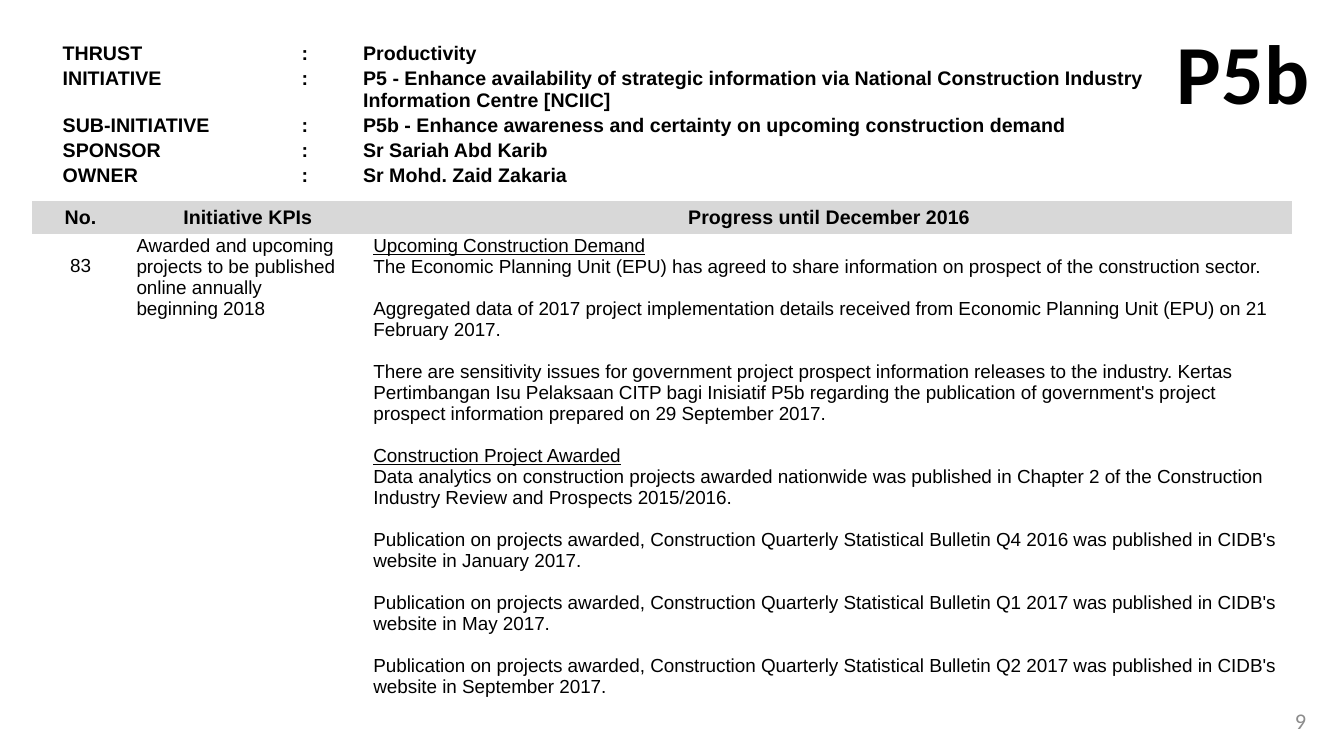
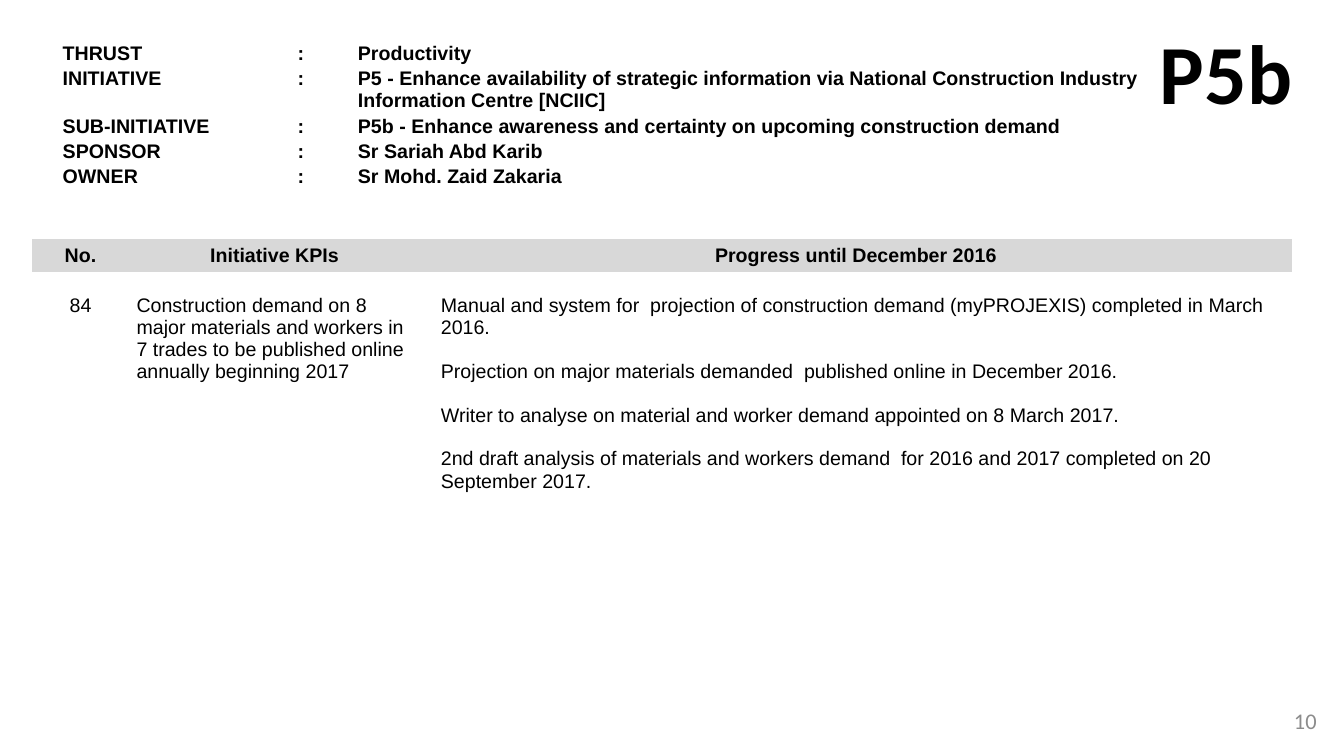
from pptx import Presentation
from pptx.dml.color import RGBColor
from pptx.enum.text import MSO_ANCHOR, PP_ALIGN
from pptx.util import Cm, Pt

LEFT, CENTER, RIGHT = PP_ALIGN.LEFT, PP_ALIGN.CENTER, PP_ALIGN.RIGHT
TOP, MIDDLE = MSO_ANCHOR.TOP, MSO_ANCHOR.MIDDLE

BLACK = RGBColor(0x00, 0x00, 0x00)
BAND = RGBColor(0xD8, 0xD8, 0xD8)
PAGE_GREY = RGBColor(0x8C, 0x8C, 0x8C)
NO_STYLE_NO_GRID = "{2D5ABB26-0587-4C30-8999-92F81FD0307C}"

# Text formats
LABEL = {"name": "Arial", "size": Pt(14), "bold": True}
CODE = {"name": "Calibri", "size": Pt(60), "bold": True}
PAGE = {"name": "Calibri", "size": Pt(16), "bold": False}
LINE_GAP = 1.11

# Shared geometry in cm
HEADER_LEFT, HEADER_TOP = 1.55, 1.05
HEADER_ROWS = (0.6, 1.17, 0.63, 0.6, 0.6)
KPI_LEFT, KPI_WIDTH, NO_WIDTH, BAND_HEIGHT = 0.8, 31.76, 2.46, 0.84
INSET, KPI_INSET = 0.03, 0.18

INITIATIVE = (
    ("THRUST", "Productivity"),
    ("INITIATIVE", "P5 - Enhance availability of strategic information via "
     "National Construction Industry Information Centre [NCIIC]"),
    ("SUB-INITIATIVE", "P5b - Enhance awareness and certainty on upcoming "
     "construction demand"),
    ("SPONSOR", "Sr Sariah Abd Karib"),
    ("OWNER", "Sr Mohd. Zaid Zakaria"),
)
KPI_TITLES = ("No.", "Initiative KPIs", "Progress until December 2016")
BULLETIN = ("Publication on projects awarded, Construction Quarterly Statistical "
            "Bulletin {} was published in CIDB's website in {}.")

# Each progress block is a heading (or None) and its text
SLIDES = (
    {
        "page": "9", "page_left": 25.55,
        "header_widths": (6.02, 0.66, 0.89, 20.29),
        "top": 5.06, "kpi_width": 5.97, "body_height": 12.6, "size": 13.5,
        "tops": (0.54, INSET, INSET), "progress_inset": KPI_INSET,
        "no": "83",
        "kpi": ("Awarded and upcoming projects to be published online annually",
                "beginning 2018"),
        "progress": (
            ("Upcoming Construction Demand",
             "The Economic Planning Unit (EPU) has agreed to share information "
             "on prospect of the construction sector."),
            (None, "Aggregated data of 2017 project implementation details "
             "received from Economic Planning Unit (EPU) on 21 February 2017."),
            (None, "There are sensitivity issues for government project prospect "
             "information releases to the industry. Kertas Pertimbangan Isu "
             "Pelaksaan CITP bagi Inisiatif P5b regarding the publication of "
             "government's project prospect information prepared on "
             "29 September 2017."),
            ("Construction Project Awarded",
             "Data analytics on construction projects awarded nationwide was "
             "published in Chapter 2 of the Construction Industry Review and "
             "Prospects 2015/2016."),
            (None, BULLETIN.format("Q4 2016", "January 2017")),
            (None, BULLETIN.format("Q1 2017", "May 2017")),
            (None, BULLETIN.format("Q2 2017", "September 2017")),
        ),
    },
    {
        "page": "10", "page_left": 25.81,
        "header_widths": (5.92, 0.66, 0.86, 19.99),
        "top": 6.02, "kpi_width": 7.32, "body_height": 5.94, "size": 14,
        "tops": (0.57, 0.57, 0.57), "progress_inset": 0.53,
        "no": "84",
        "kpi": ("Construction demand on 8 major materials and workers in 7 "
                "trades to be published online annually beginning 2017",),
        "progress": (
            (None, "Manual and system for  projection of construction demand "
             "(myPROJEXIS) completed in March 2016."),
            (None, "Projection on major materials demanded  published online "
             "in December 2016."),
            (None, "Writer to analyse on material and worker demand appointed "
             "on 8 March 2017."),
            (None, "2nd draft analysis of materials and workers demand  for "
             "2016 and 2017 completed on 20 September 2017."),
        ),
    },
)


def set_attrs(obj, values):
    for name, value in values.items():
        setattr(obj, name, value)


def write(tf, lines, fmt, align=LEFT, color=BLACK):
    """Write lines of (text, space before in points, underlined)."""
    for i, (text, gap, underline) in enumerate(lines):
        p = tf.add_paragraph() if i else tf.paragraphs[0]
        p.alignment = align
        if gap:
            p.space_before = Pt(gap)
        r = p.add_run()
        r.text = text
        set_attrs(r.font, fmt)
        r.font.color.rgb = color
        if underline:
            r.font.underline = True


def plain(*texts):
    return [(text, 0, False) for text in texts]


def add_plain_table(s, left, top, widths, heights):
    frame = s.shapes.add_table(len(heights), len(widths), Cm(left), Cm(top),
                               Cm(sum(widths)), Cm(sum(heights)))
    table = frame.table
    set_attrs(table, {"first_row": False, "horz_banding": False})
    table._tbl.tblPr[0].text = NO_STYLE_NO_GRID
    for column, width in zip(table.columns, widths):
        column.width = Cm(width)
    for row, height in zip(table.rows, heights):
        row.height = Cm(height)
    return table


def fill_cell(cell, lines, fmt, align=LEFT, anchor=TOP, left=INSET, top=INSET,
              fill=None):
    set_attrs(cell, {"margin_left": Cm(left), "margin_top": Cm(top),
                     "margin_right": Cm(INSET), "margin_bottom": 0,
                     "vertical_anchor": anchor})
    if fill is None:
        cell.fill.background()
    else:
        cell.fill.solid()
        cell.fill.fore_color.rgb = fill
    write(cell.text_frame, lines, fmt, align)
    if not lines:
        # Keeps an empty cell from stretching its row
        end = cell.text_frame.paragraphs[0]._p.get_or_add_endParaRPr()
        end.set("sz", str(int(fmt["size"].pt * 100)))


def add_text(s, box, text, fmt, align=LEFT, anchor=TOP, wrap=True, color=BLACK):
    tf = s.shapes.add_textbox(*map(Cm, box)).text_frame
    set_attrs(tf, {"word_wrap": wrap, "vertical_anchor": anchor})
    write(tf, plain(text), fmt, align, color)


def add_header(s, left, top, widths):
    # Initiative details, with the code at their right edge
    table = add_plain_table(s, left, top, widths, HEADER_ROWS)
    for i, (label, value) in enumerate(INITIATIVE):
        cells = (plain(label), plain(":"), [], plain(value))
        for j, lines in enumerate(cells):
            fill_cell(table.cell(i, j), lines, LABEL)
    add_text(s, (left + sum(widths), 0.38, 3.89, 2.82), "P5b", CODE, wrap=False)


def add_kpi_table(s, left, top, width, data):
    widths = (NO_WIDTH, data["kpi_width"], width - NO_WIDTH - data["kpi_width"])
    table = add_plain_table(s, left, top, widths,
                            (BAND_HEIGHT, data["body_height"]))
    # Grey title band
    for j, title in enumerate(KPI_TITLES):
        fill_cell(table.cell(0, j), plain(title), LABEL, CENTER, MIDDLE, fill=BAND)

    # One line of space between progress blocks
    progress = []
    for heading, text in data["progress"]:
        gap = data["size"] * LINE_GAP if progress else 0
        if heading:
            progress.append((heading, gap, True))
            gap = 0
        progress.append((text, gap, False))

    body = {"name": "Arial", "size": Pt(data["size"]), "bold": False}
    columns = ((plain(data["no"]), CENTER, INSET),
               (plain(*data["kpi"]), LEFT, KPI_INSET),
               (progress, LEFT, data["progress_inset"]))
    for j, (lines, align, inset) in enumerate(columns):
        fill_cell(table.cell(1, j), lines, body, align, left=inset,
                  top=data["tops"][j])


def add_initiative_slide(prs, data):
    s = prs.slides.add_slide(prs.slide_layouts[6])
    add_header(s, HEADER_LEFT, HEADER_TOP, data["header_widths"])
    add_kpi_table(s, KPI_LEFT, data["top"], KPI_WIDTH, data)
    add_text(s, (data["page_left"], 17.65, 7.62, 1.02), data["page"], PAGE,
             RIGHT, MIDDLE, color=PAGE_GREY)


def main():
    prs = Presentation()
    prs.slide_width, prs.slide_height = Cm(33.87), Cm(19.05)
    for data in SLIDES:
        add_initiative_slide(prs, data)
    prs.save("out.pptx")


if __name__ == "__main__":
    main()
